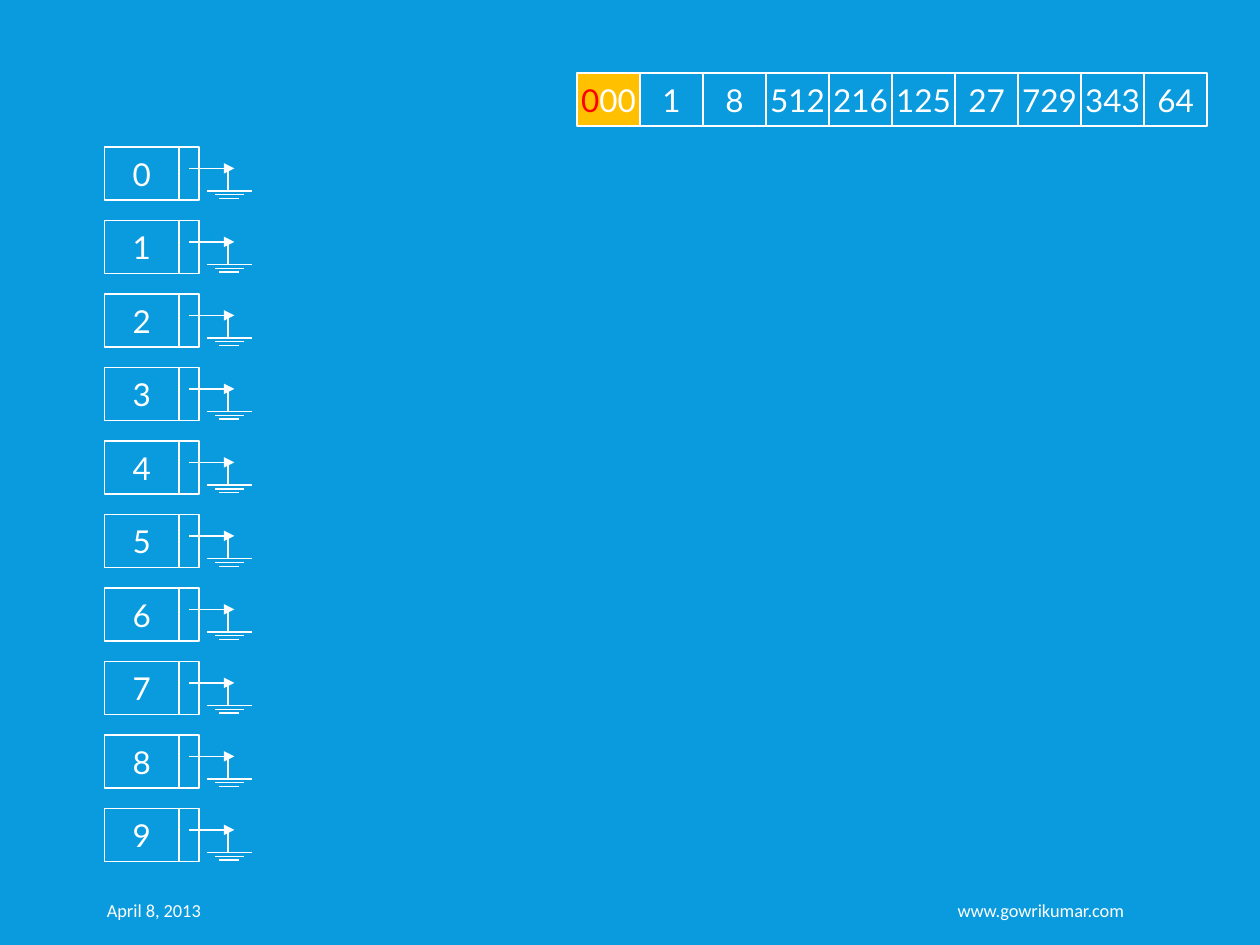
"""Build the radix sort slide: the input array above ten empty digit buckets."""
from dataclasses import dataclass

from lxml import etree
from pptx import Presentation
from pptx.dml.color import RGBColor
from pptx.enum.shapes import MSO_CONNECTOR, MSO_SHAPE
from pptx.enum.text import MSO_ANCHOR, PP_ALIGN
from pptx.oxml.ns import qn
from pptx.util import Inches, Pt

RECTANGLE = MSO_SHAPE.RECTANGLE
STRAIGHT = MSO_CONNECTOR.STRAIGHT
MIDDLE = MSO_ANCHOR.MIDDLE
LEFT, CENTER, RIGHT = PP_ALIGN.LEFT, PP_ALIGN.CENTER, PP_ALIGN.RIGHT


@dataclass(frozen=True)
class Theme:
    background: RGBColor = RGBColor(0x09, 0x9B, 0xDD)
    ink: RGBColor = RGBColor(0xFF, 0xFF, 0xFF)
    highlight: RGBColor = RGBColor(0xFF, 0xC0, 0x00)
    active_digit: RGBColor = RGBColor(0xFF, 0x00, 0x00)
    number_font: str = "Lato"
    footer_font: str = "Calibri"
    number_size: float = 18
    footer_size: float = 10.5
    line_width: float = 0.75


class SlideBuilder:
    def __init__(self, slide, theme):
        self.slide = slide
        self.theme = theme
        slide.background.fill.solid()
        slide.background.fill.fore_color.rgb = theme.background

    def style_run(self, run, font, size, color):
        run.font.name = font
        run.font.size = Pt(size)
        run.font.color.rgb = color

    def footer(self, text, left, width, align, right_inset):
        box = self.slide.shapes.add_textbox(
            Inches(left), Inches(7.02), Inches(width), Inches(0.4))
        frame = box.text_frame
        frame.text = text
        frame.word_wrap = True
        frame.vertical_anchor = MIDDLE
        frame.margin_right = Inches(right_inset)
        paragraph = frame.paragraphs[0]
        paragraph.alignment = align
        self.style_run(paragraph.runs[0], self.theme.footer_font,
                       self.theme.footer_size, self.theme.ink)

    def cell(self, shapes, left, top, width, parts=(), fill=None):
        cell = shapes.add_shape(RECTANGLE, Inches(left), Inches(top),
                                Inches(width), Inches(CELL_HEIGHT))
        cell.shadow.inherit = False
        if fill is None:
            cell.fill.background()
        else:
            cell.fill.solid()
            cell.fill.fore_color.rgb = fill
        cell.line.color.rgb = self.theme.ink
        cell.line.width = Pt(self.theme.line_width)
        frame = cell.text_frame
        frame.word_wrap = False
        frame.vertical_anchor = MIDDLE
        paragraph = frame.paragraphs[0]
        paragraph.alignment = CENTER
        for text, color in parts:
            run = paragraph.add_run()
            run.text = text
            self.style_run(run, self.theme.number_font, self.theme.number_size, color)

    def line(self, shapes, start, end, arrow=False):
        line = shapes.add_connector(STRAIGHT, *map(Inches, (*start, *end)))
        line.line.color.rgb = self.theme.ink
        line.line.width = Pt(self.theme.line_width)
        properties = line.element.spPr
        if arrow:
            etree.SubElement(properties.find(qn("a:ln")), qn("a:tailEnd"), type="triangle")
        etree.SubElement(properties, qn("a:effectLst"))

    def bucket(self, digit, top):
        shapes = self.slide.shapes.add_group_shape().shapes
        self.cell(shapes, 0.83, top, 0.59, [(str(digit), self.theme.ink)])
        self.cell(shapes, 1.42, top, 0.16)
        pointer_y = top + 0.17
        ground_y = top + 0.35
        self.line(shapes, (1.5, pointer_y), (1.86, pointer_y), arrow=True)
        for step, (left, right) in enumerate(GROUND_BARS):
            y = ground_y + step * 0.03
            self.line(shapes, (left, y), (right, y))
        self.line(shapes, (1.81, ground_y), (1.81, pointer_y))


CELL_HEIGHT = 0.42
GROUND_BARS = [(1.64, 2), (1.71, 1.94), (1.74, 1.9)]
ARRAY_LEFT, ARRAY_TOP, ARRAY_CELL_WIDTH = 4.58, 0.58, 0.5
BUCKET_TOP, BUCKET_PITCH = 7 / 6, 7 / 12
UNSORTED = [1, 8, 512, 216, 125, 27, 729, 343, 64]


def main():
    presentation = Presentation()
    presentation.slide_width = Inches(10)
    presentation.slide_height = Inches(7.5)
    theme = Theme()
    slide = presentation.slides.add_slide(presentation.slide_layouts[6])
    builder = SlideBuilder(slide, theme)

    builder.footer("April 8, 2013", 0.75, 2.84, LEFT, 0.05)
    builder.footer("www.gowrikumar.com", 4.58, 4.44, RIGHT, 0.1)

    builder.cell(slide.shapes, ARRAY_LEFT, ARRAY_TOP, ARRAY_CELL_WIDTH,
                 [("0", theme.active_digit), ("00", theme.ink)], theme.highlight)
    for position, number in enumerate(UNSORTED, start=1):
        builder.cell(slide.shapes, ARRAY_LEFT + position * ARRAY_CELL_WIDTH,
                     ARRAY_TOP, ARRAY_CELL_WIDTH, [(str(number), theme.ink)])

    for digit in range(10):
        builder.bucket(digit, BUCKET_TOP + digit * BUCKET_PITCH)

    presentation.save("out.pptx")


if __name__ == "__main__":
    main()
